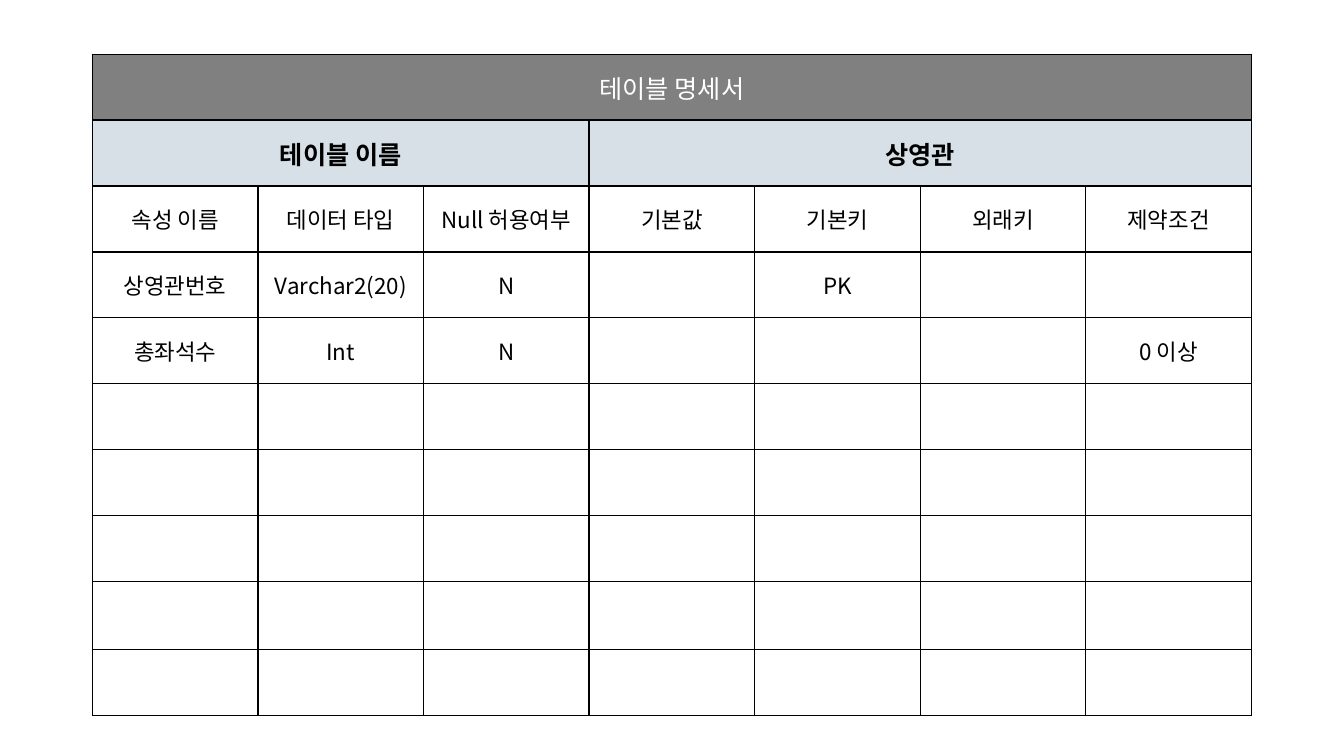
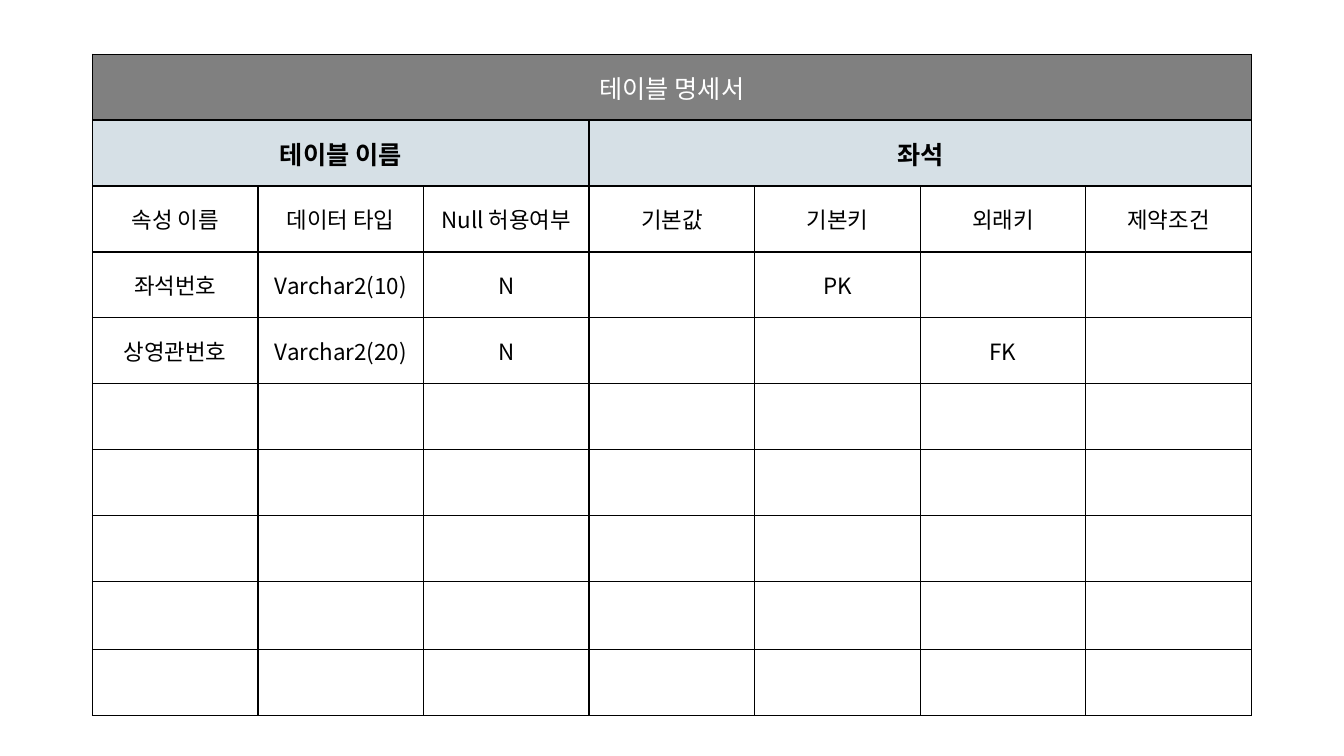
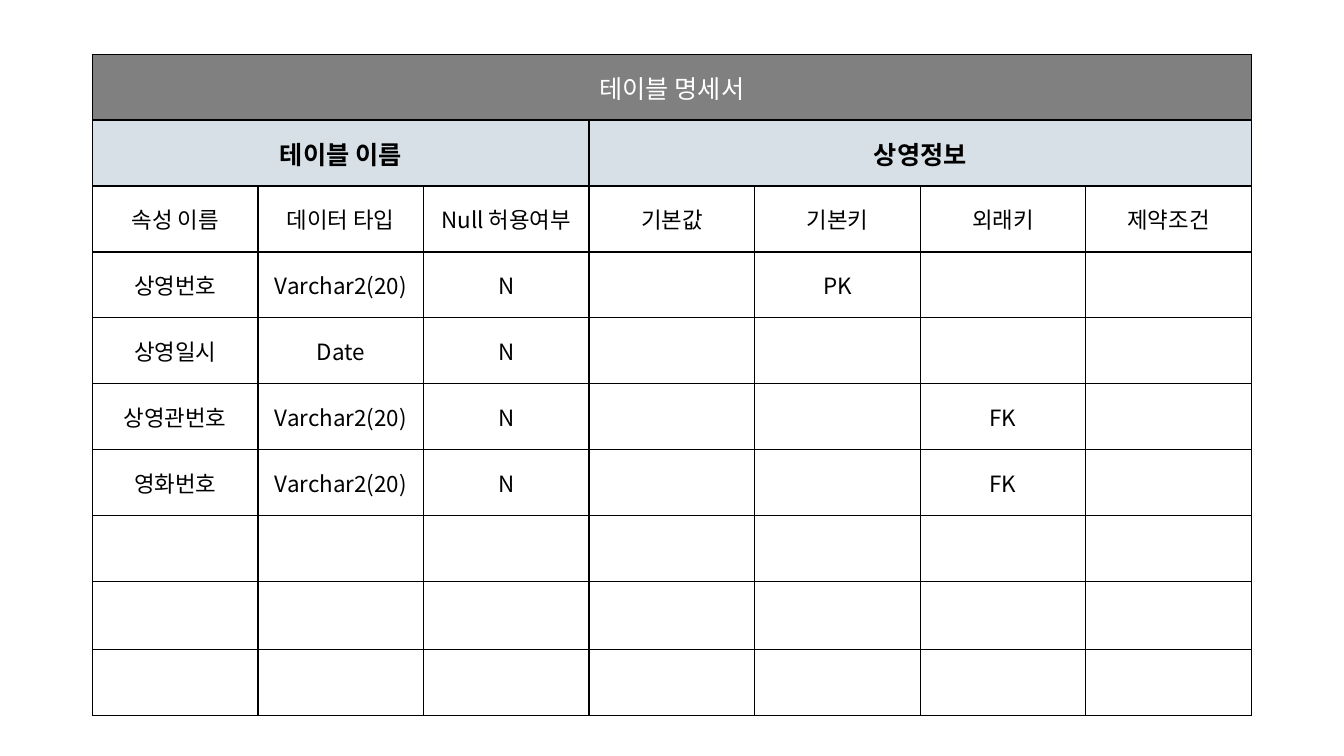
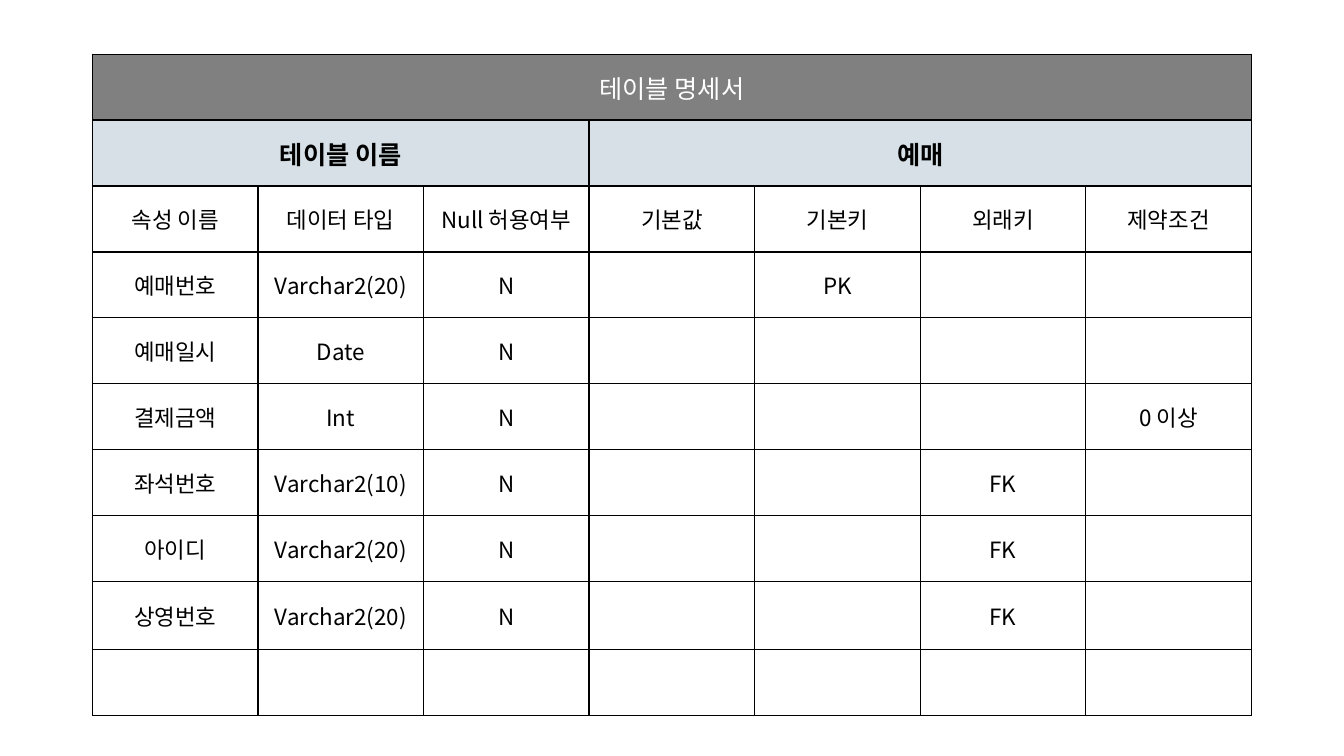
from dataclasses import dataclass

from pptx import Presentation
from pptx.dml.color import RGBColor
from pptx.enum import text
from pptx.oxml import ns, xmlchemy
from pptx.util import Pt


@dataclass(frozen=True)
class Theme:
    font: str = "Noto Sans CJK KR"
    black: str = "000000"
    white: str = "FFFFFF"
    title_fill: str = "808080"
    name_fill: str = "D6E0E6"
    heading_size: float = 18
    body_size: float = 16
    border_width: float = 1


THEME = Theme()

# Table geometry, in points
SLIDE_WIDTH, SLIDE_HEIGHT = 960, 540
LEFT, TOP, WIDTH = 66, 38.7, 828
ROW_HEIGHTS = [47.1] * 8 + [48.5, 47.1]
NAME_SPLIT = 3

# Content
TITLE = "테이블 명세서"
NAME_LABEL = "테이블 이름"
HEADINGS = ["속성 이름", "데이터 타입", "Null 허용여부", "기본값",
            "기본키", "외래키", "제약조건"]


def attribute(name, data_type, primary="", foreign="", rule=""):
    """One table row; every attribute is NOT NULL and has no default."""
    return [name, data_type, "N", "", primary, foreign, rule]


SPECIFICATIONS = {
    "상영관": [
        attribute("상영관번호", "Varchar2(20)", primary="PK"),
        attribute("총좌석수", "Int", rule="0 이상"),
    ],
    "좌석": [
        attribute("좌석번호", "Varchar2(10)", primary="PK"),
        attribute("상영관번호", "Varchar2(20)", foreign="FK"),
    ],
    "상영정보": [
        attribute("상영번호", "Varchar2(20)", primary="PK"),
        attribute("상영일시", "Date"),
        attribute("상영관번호", "Varchar2(20)", foreign="FK"),
        attribute("영화번호", "Varchar2(20)", foreign="FK"),
    ],
    "예매": [
        attribute("예매번호", "Varchar2(20)", primary="PK"),
        attribute("예매일시", "Date"),
        attribute("결제금액", "Int", rule="0 이상"),
        attribute("좌석번호", "Varchar2(10)", foreign="FK"),
        attribute("아이디", "Varchar2(20)", foreign="FK"),
        attribute("상영번호", "Varchar2(20)", foreign="FK"),
    ],
}


def add_borders(cell):
    """Draw a solid line on all four sides of a cell."""
    properties = cell._tc.get_or_add_tcPr()
    for position, side in enumerate(("lnL", "lnR", "lnT", "lnB")):
        line = xmlchemy.OxmlElement(f"a:{side}")
        line.set("w", str(Pt(THEME.border_width)))
        fill = xmlchemy.OxmlElement("a:solidFill")
        color = xmlchemy.OxmlElement("a:srgbClr")
        color.set("val", THEME.black)
        fill.append(color)
        line.append(fill)
        properties.insert(position, line)


def style_cell(cell, fill):
    add_borders(cell)
    cell.fill.solid()
    cell.fill.fore_color.rgb = RGBColor.from_string(fill)
    cell.vertical_anchor = text.MSO_ANCHOR.MIDDLE


def write_cell(cell, words, size, color=THEME.black, bold=False):
    cell.text_frame.text = words
    para = cell.text_frame.paragraphs[0]
    para.alignment = text.PP_ALIGN.CENTER
    for span in para.runs:
        span.font.name = THEME.font
        span.font.size = Pt(size)
        span.font.bold = bold
        span.font.color.rgb = RGBColor.from_string(color)
        # Hangul takes the East Asian typeface
        latin = span.font._element.find(ns.qn("a:latin"))
        east_asian = xmlchemy.OxmlElement("a:ea")
        east_asian.set("typeface", THEME.font)
        latin.addnext(east_asian)


def add_grid(page):
    """Add the empty, bordered table with its two merged heading rows."""
    columns = len(HEADINGS)
    frame = page.shapes.add_table(
        len(ROW_HEIGHTS), columns,
        Pt(LEFT), Pt(TOP), Pt(WIDTH), Pt(sum(ROW_HEIGHTS)))
    table = frame.table
    table.first_row = table.horz_banding = False
    for column in table.columns:
        column.width = Pt(WIDTH / columns)
    row_fills = [THEME.title_fill, THEME.name_fill]
    row_fills += [THEME.white] * (len(ROW_HEIGHTS) - len(row_fills))
    for row, height, fill in zip(table.rows, ROW_HEIGHTS, row_fills):
        row.height = Pt(height)
        for cell in row.cells:
            style_cell(cell, fill)
    table.cell(0, 0).merge(table.cell(0, columns - 1))
    table.cell(1, 0).merge(table.cell(1, NAME_SPLIT - 1))
    table.cell(1, NAME_SPLIT).merge(table.cell(1, columns - 1))
    return table


def add_specification(deck, name, attributes):
    page = deck.slides.add_slide(deck.slide_layouts.get_by_name("Blank"))
    table = add_grid(page)
    # Headings
    write_cell(table.cell(0, 0), TITLE, THEME.heading_size, THEME.white)
    for column, words in ((0, NAME_LABEL), (NAME_SPLIT, name)):
        write_cell(table.cell(1, column), words, THEME.heading_size, bold=True)
    # Column names and attributes
    for row, values in enumerate([HEADINGS, *attributes], start=2):
        for column, words in enumerate(values):
            if words:
                write_cell(table.cell(row, column), words, THEME.body_size)


def main():
    deck = Presentation()
    deck.slide_width, deck.slide_height = Pt(SLIDE_WIDTH), Pt(SLIDE_HEIGHT)
    for name, attributes in SPECIFICATIONS.items():
        add_specification(deck, name, attributes)
    deck.save("out.pptx")


if __name__ == "__main__":
    main()
